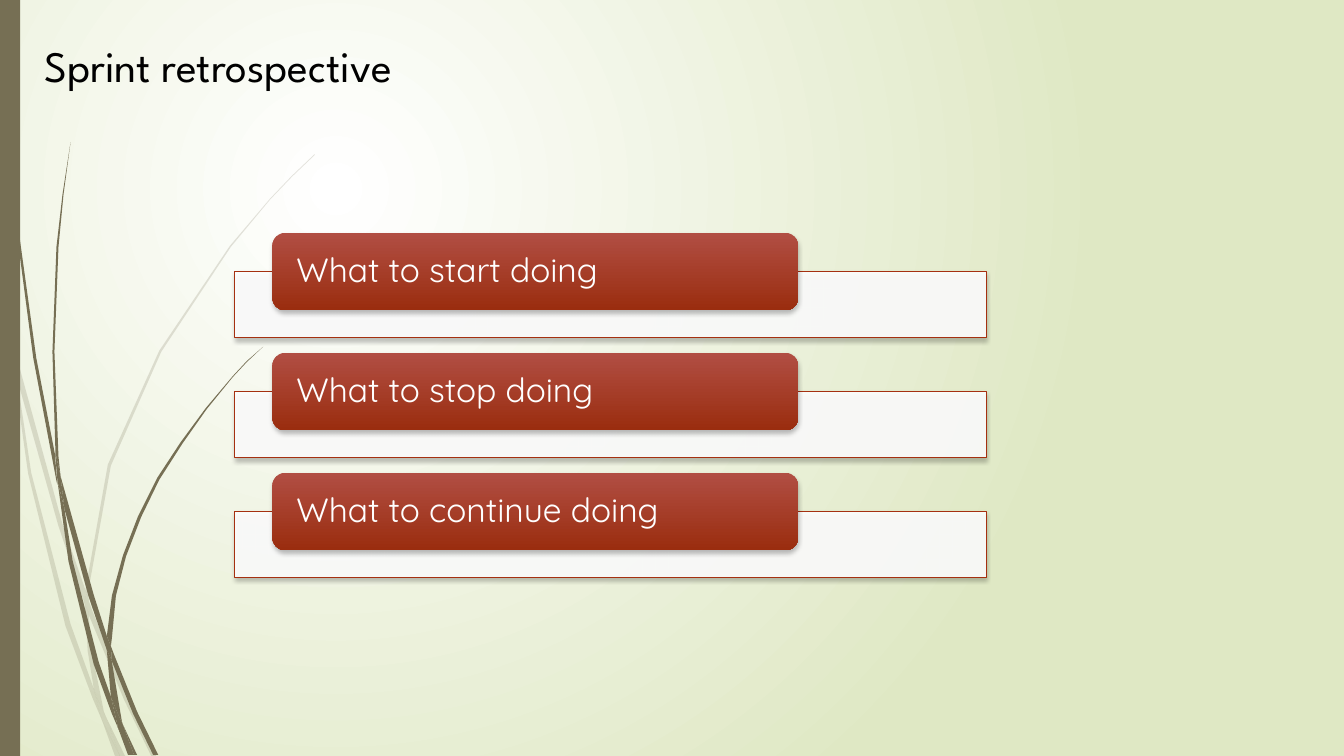
import pptx
import pptx.util
import pptx.dml.color
import pptx.enum.shapes
import pptx.enum.text
import pptx.oxml.ns
from lxml import etree

Inches, Pt = pptx.util.Inches, pptx.util.Pt
qn = pptx.oxml.ns.qn
MSO = pptx.enum.shapes.MSO_SHAPE
ANCHOR = pptx.enum.text.MSO_ANCHOR
ALIGN = pptx.enum.text.PP_ALIGN

COLORS = {
    "bg_center": "FFFFFF", "bg_edge": "DFE8C4", "wood": "766F54", "title": "000000",
    "panel": "FFFFFF", "panel_line": "A53010", "tab_top": "B14E43", "tab_bottom": "9A2D0F",
    "tab_text": "FFFFFF", "shadow": "000000",
}
PALE_GRASS = [
    [(0.58, 5.22), (0.84, 5.99), (0.85, 5.86), (0.62, 5.2), (0.14, 3.45), (0.17, 3.76)],
    [(0.92, 6.07), (0.88, 5.96), (0.88, 6.1), (1.23, 6.94), (1.5, 7.5), (1.55, 7.5), (1.27, 6.92)],
    [(1.19, 7.5), (1.24, 7.5), (1.05, 7.11)],
    [(0.93, 6.83), (0.7, 6.19), (0.31, 4.69), (0.17, 3.76), (0.11, 3.5), (0.28, 4.7),
     (0.65, 6.21), (0.92, 6.93), (1.01, 7.14), (0.99, 7.07)],
    [(0.84, 5.99), (0.87, 6.46), (0.93, 6.83), (0.96, 6.92), (1.05, 7.11), (1.03, 7.06),
     (0.91, 6.46), (0.88, 6.1), (0.88, 6.08)],
    [(0.88, 5.84), (1.1, 4.62), (1.6, 3.49), (2.29, 2.45), (2.68, 1.98), (2.9, 1.75),
     (3.12, 1.54), (3.12, 1.53), (2.89, 1.75), (2.68, 1.97), (2.28, 2.44), (1.58, 3.48),
     (1.07, 4.61), (0.85, 5.84), (0.85, 5.86), (0.88, 5.96)],
    [(1.01, 7.14), (1.14, 7.5), (1.19, 7.5)],
    [(0.88, 6.08), (0.88, 6.1), (0.88, 5.96), (0.85, 5.86), (0.84, 5.99)],
    [(0.96, 6.92), (0.93, 6.83), (0.99, 7.07), (1.01, 7.14), (1.19, 7.5), (1.05, 7.11)],
]
DARK_GRASS = [
    [(0.07, 1.1), (0.17, 2.33), (0.33, 3.55), (0.56, 4.77), (0.57, 4.81), (0.55, 4.57),
     (0.55, 4.53), (0.36, 3.55), (0.19, 2.32), (0.08, 1.09), (0.05, 0.48), (0.04, 0),
     (0.03, 0), (0.04, 0.48)],
    [(0.88, 5.92), (1.06, 6.45), (1.06, 6.31), (0.93, 5.9), (0.6, 4.72), (0.64, 5.05)],
    [(1.13, 6.49), (1.1, 6.41), (1.11, 6.56), (1.32, 7.08), (1.52, 7.49), (1.57, 7.49), (1.36, 7.06)],
    [(1.1, 6.91), (0.98, 6.57), (0.72, 5.56), (0.64, 5.05), (0.57, 4.77), (0.68, 5.57),
     (0.93, 6.59), (1.11, 7.08), (1.17, 7.22), (1.16, 7.17)],
    [(0.6, 4.72), (0.58, 4.53), (0.54, 3.49), (0.58, 2.45), (0.63, 1.93), (0.7, 1.41),
     (0.62, 1.93), (0.56, 2.45), (0.52, 3.49), (0.55, 4.49)],
    [(1.33, 7.49), (1.36, 7.49), (1.22, 7.19)],
    [(0.57, 4.77), (0.64, 5.05), (0.6, 4.72), (0.55, 4.49), (0.55, 4.53)],
    [(1.11, 6.33), (1.15, 5.91), (1.25, 5.52), (1.4, 5.13), (1.58, 4.76), (1.81, 4.4),
     (2.05, 4.06), (2.31, 3.74), (2.45, 3.59), (2.61, 3.44), (2.45, 3.58), (2.31, 3.73),
     (2.04, 4.05), (1.79, 4.39), (1.56, 4.74), (1.37, 5.12), (1.22, 5.51), (1.11, 5.91),
     (1.06, 6.31), (1.1, 6.41)],
    [(1.17, 7.22), (1.27, 7.49), (1.31, 7.49)],
    [(1.06, 6.45), (1.1, 6.91), (1.16, 7.06), (1.22, 7.19), (1.21, 7.16), (1.11, 6.56), (1.09, 6.51)],
    [(1.06, 6.45), (1.09, 6.51), (1.11, 6.56), (1.1, 6.41), (1.06, 6.31)],
    [(1.16, 7.06), (1.1, 6.91), (1.16, 7.17), (1.17, 7.22), (1.3, 7.49), (1.33, 7.49), (1.22, 7.19)],
]
ACTIONS = ["What to start doing", "What to stop doing", "What to continue doing"]


def rgb(name):
    return pptx.dml.color.RGBColor.from_string(COLORS[name])


def fill_solid(sp, color, opacity=100):
    sp.shadow.inherit = False
    sp.line.fill.background()
    sp.fill.solid()
    sp.fill.fore_color.rgb = rgb(color)
    if opacity < 100:
        clr = sp.element.spPr.find(qn("a:solidFill")).find(qn("a:srgbClr"))
        etree.SubElement(clr, qn("a:alpha"), val=str(opacity * 1000))


def fill_gradient(fill, first, last):
    fill.gradient()
    for stop, color in zip(fill.gradient_stops, (first, last)):
        stop.color.rgb = rgb(color)


def drop_shadow(sp):
    sp.shadow.inherit = False
    effects = sp.element.spPr.find(qn("a:effectLst"))
    shadow = etree.SubElement(effects, qn("a:outerShdw"), blurRad=str(Pt(3)), dist=str(Pt(2)),
                              dir="5400000", algn="ctr", rotWithShape="0")
    clr = etree.SubElement(shadow, qn("a:srgbClr"), val=COLORS["shadow"])
    etree.SubElement(clr, qn("a:alpha"), val="25000")


def add_run(p, text, font, size, color):
    r = p.add_run()
    r.text = text
    r.font.name, r.font.size = font, Pt(size)
    r.font.color.rgb = rgb(color)


def set_background(s):
    fill_gradient(s.background.fill, "bg_center", "bg_edge")
    grad = s.element.find(".//" + qn("a:gradFill"))
    grad.remove(grad.find(qn("a:lin")))
    circle = etree.SubElement(grad, qn("a:path"), path="circle")
    etree.SubElement(circle, qn("a:fillToRect"), l="50000", t="50000", r="100000", b="100000")


def add_grass(s, x, y, blades, opacity):
    grass = s.shapes.add_group_shape()
    for blade in blades:
        points = [(Inches(x + px), Inches(y + py)) for px, py in blade]
        builder = grass.shapes.build_freeform(*points[0])
        builder.add_line_segments(points[1:], close=True)
        fill_solid(builder.convert_to_shape(), "wood", opacity)


def add_side_bar(s, x, y, w, h):
    bar = s.shapes.add_shape(MSO.RECTANGLE, Inches(x), Inches(y), Inches(w), Inches(h))
    fill_solid(bar, "wood")


def add_title(s, x, y, w, h):
    title = s.shapes.title
    title.left, title.top, title.width, title.height = Inches(x), Inches(y), Inches(w), Inches(h)
    tf = title.text_frame
    tf.vertical_anchor = ANCHOR.TOP
    tf.auto_size = pptx.enum.text.MSO_AUTO_SIZE.NONE
    tf.margin_top = Inches(0.04)
    p = tf.paragraphs[0]
    p.alignment, p.line_spacing = ALIGN.LEFT, Pt(31)
    add_run(p, "Sprint retrospective", "League Spartan", 31, "title")


def add_action(shapes, x, y, w, text):
    panel = shapes.add_shape(MSO.RECTANGLE, Inches(x), Inches(y + 0.38), Inches(w), Inches(0.66))
    fill_solid(panel, "panel", 90)
    panel.line.color.rgb = rgb("panel_line")
    panel.line.width = Pt(0.75)
    drop_shadow(panel)

    tab = shapes.add_shape(MSO.ROUNDED_RECTANGLE, Inches(x + 0.05 * w), Inches(y),
                           Inches(0.7 * w), Inches(0.77))
    fill_gradient(tab.fill, "tab_top", "tab_bottom")
    tab.fill.gradient_angle = 270
    tab.line.fill.background()
    drop_shadow(tab)
    tf = tab.text_frame
    tf.word_wrap = True
    tf.vertical_anchor = ANCHOR.MIDDLE
    tf.margin_left = tf.margin_right = Inches(0.2)
    tf.margin_top = tf.margin_bottom = 0
    p = tf.paragraphs[0]
    p.alignment, p.line_spacing = ALIGN.LEFT, 0.9
    add_run(p, text, "Quicksand", 24, "tab_text")


def add_actions(s, x, y, w, pitch):
    group = s.shapes.add_group_shape()
    for i, text in enumerate(ACTIONS):
        add_action(group.shapes, x, y + i * pitch, w, text)


def main():
    prs = pptx.Presentation()
    prs.slide_width, prs.slide_height = Inches(13.33), Inches(7.5)
    s = prs.slides.add_slide(prs.slide_layouts[5])
    set_background(s)
    add_grass(s, 0, 0, PALE_GRASS, 20)
    add_grass(s, 0, 0, DARK_GRASS, 100)
    add_side_bar(s, 0, 0, 0.2, 7.5)
    add_title(s, 0.34, 0.43, 12.21, 0.73)
    add_actions(s, 2.33, 2.31, 7.45, 1.19)
    prs.save("out.pptx")


if __name__ == "__main__":
    main()
